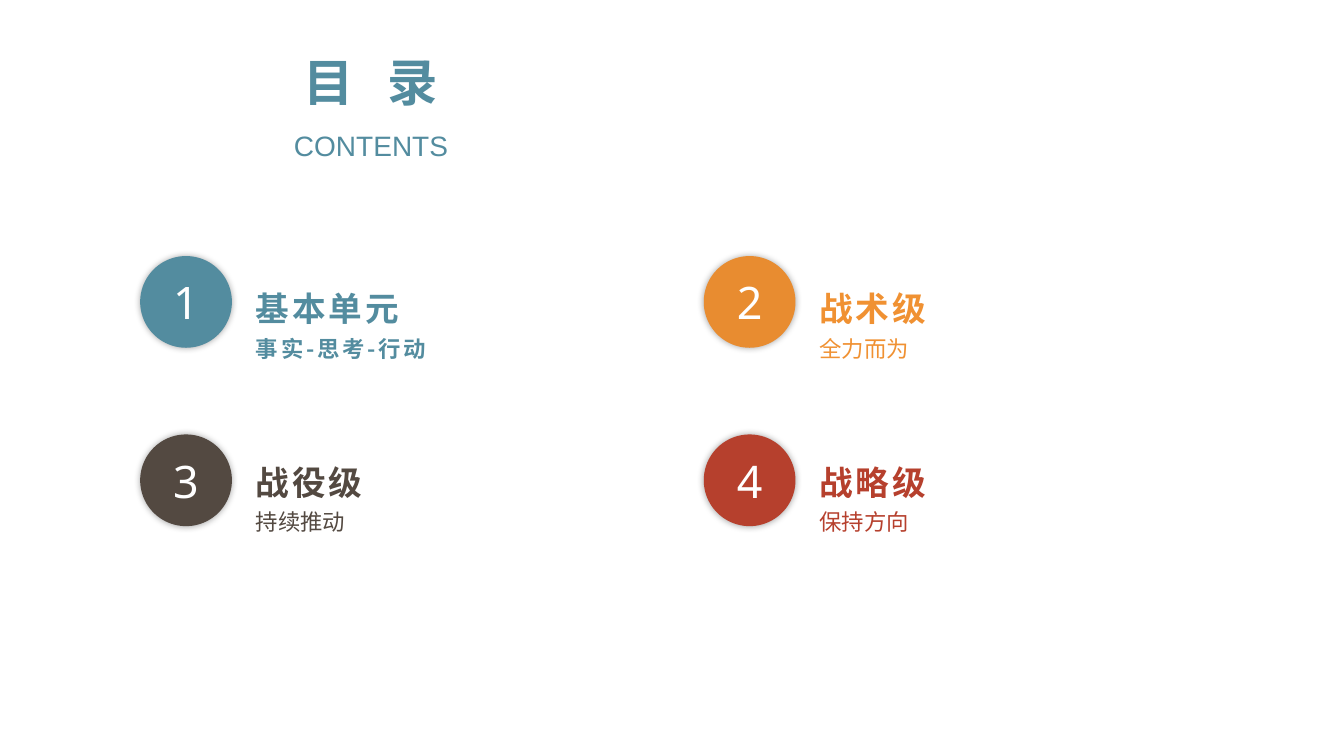
"""Build a contents slide with four numbered entries in a two by two grid."""
from lxml import etree
from pptx import Presentation
from pptx.dml.color import RGBColor
from pptx.enum.shapes import MSO_SHAPE
from pptx.enum.text import MSO_ANCHOR, MSO_AUTO_SIZE, PP_ALIGN
from pptx.oxml import parse_xml
from pptx.oxml.ns import nsdecls, qn
from pptx.util import Inches, Pt

OVAL = MSO_SHAPE.OVAL
TOP, MIDDLE = MSO_ANCHOR.TOP, MSO_ANCHOR.MIDDLE
CENTER = PP_ALIGN.CENTER
NO_AUTOFIT = MSO_AUTO_SIZE.NONE

CJK, ARIAL, SANS = "Noto Sans CJK SC", "Arial", "Noto Sans"
TEAL, WHITE = "538C9F", "FFFFFF"
TITLE = [
    ("目 ", 36, CJK, True, 8),
    ("录\v", 36, CJK, True, 0),
    ("CONTENTS", 20, ARIAL, False, 0),
]
ENTRIES = [
    ("基本单元", "事实-思考-行动", TEAL, TEAL, True),
    ("战术级", "全力而为", "E88C30", "F09132", False),
    ("战役级", "持续推动", "534941", "534941", False),
    ("战略级", "保持方向", "B6402D", "B6402D", False),
]
COLUMN_LEFTS = (1.39, 6.98)
CIRCLE_TOPS = (2.54, 4.31)
TEXT_TOPS = (2.72, 4.44)
CIRCLE_SIZE = 0.91
TEXT_OFFSET = 1.05
SHADOW = (
    f'<a:effectLst {nsdecls("a")}><a:outerShdw blurRad="63500" dist="0">'
    '<a:srgbClr val="000000"><a:alpha val="35000"/></a:srgbClr>'
    "</a:outerShdw></a:effectLst>"
)


def color(value):
    return RGBColor.from_string(value)


def style(span, size, font, tint, bold=False, spacing=0):
    span.font.size = Pt(size)
    span.font.name = font
    span.font.bold = bold
    span.font.color.rgb = color(tint)
    properties = span.font._element
    properties.set("spc", str(spacing * 100))
    east_asian = etree.Element(qn("a:ea"), typeface=CJK)
    properties.find(qn("a:latin")).addnext(east_asian)


def add_title(page):
    box = page.shapes.title
    box.left, box.top = Inches(2.14), Inches(0.57)
    box.width, box.height = Inches(3.08), Inches(1.04)
    frame = box.text_frame
    frame.auto_size = NO_AUTOFIT
    frame.vertical_anchor = TOP
    para = frame.paragraphs[0]
    para.text = "".join(part[0] for part in TITLE[:1])
    para.alignment = CENTER
    para.line_spacing = Pt(35.4)
    for text, *_ in TITLE[1:]:
        para.add_run().text = text.rstrip("\v")
        if text.endswith("\v"):
            para.add_line_break()
    for span, (_, size, font, bold, spacing) in zip(para.runs, TITLE):
        style(span, size, font, TEAL, bold, spacing)


def add_circle(page, number, left, top, fill):
    side = Inches(CIRCLE_SIZE)
    circle = page.shapes.add_shape(OVAL, Inches(left), Inches(top), side, side)
    circle.fill.solid()
    circle.fill.fore_color.rgb = color(fill)
    circle.line.fill.background()
    circle._element.spPr.append(parse_xml(SHADOW))
    frame = circle.text_frame
    frame.word_wrap = False
    frame.vertical_anchor = MIDDLE
    frame.text = str(number)
    frame.paragraphs[0].alignment = CENTER
    style(frame.paragraphs[0].runs[0], 32, SANS, WHITE)


def add_entry(page, left, top, heading, detail, tint, strong):
    box = page.shapes.add_textbox(
        Inches(left), Inches(top), Inches(3.89), Inches(0.93))
    frame = box.text_frame
    frame.word_wrap = True
    frame.text = f"{heading}\n{detail}"
    for para in frame.paragraphs:
        para.line_spacing = 1.23
    first, second = (para.runs[0] for para in frame.paragraphs)
    style(first, 24, CJK, tint, True, 2)
    style(second, 16, CJK if strong else ARIAL, tint, strong, 2 if strong else 0)


def main():
    deck = Presentation()
    deck.slide_width, deck.slide_height = Inches(13.33), Inches(7.5)
    page = deck.slides.add_slide(deck.slide_layouts[5])
    add_title(page)
    for index, (heading, detail, fill, tint, strong) in enumerate(ENTRIES):
        row, column = divmod(index, 2)
        left = COLUMN_LEFTS[column]
        add_circle(page, index + 1, left, CIRCLE_TOPS[row], fill)
        add_entry(page, left + TEXT_OFFSET, TEXT_TOPS[row],
                  heading, detail, tint, strong)
    deck.save("out.pptx")


if __name__ == "__main__":
    main()
